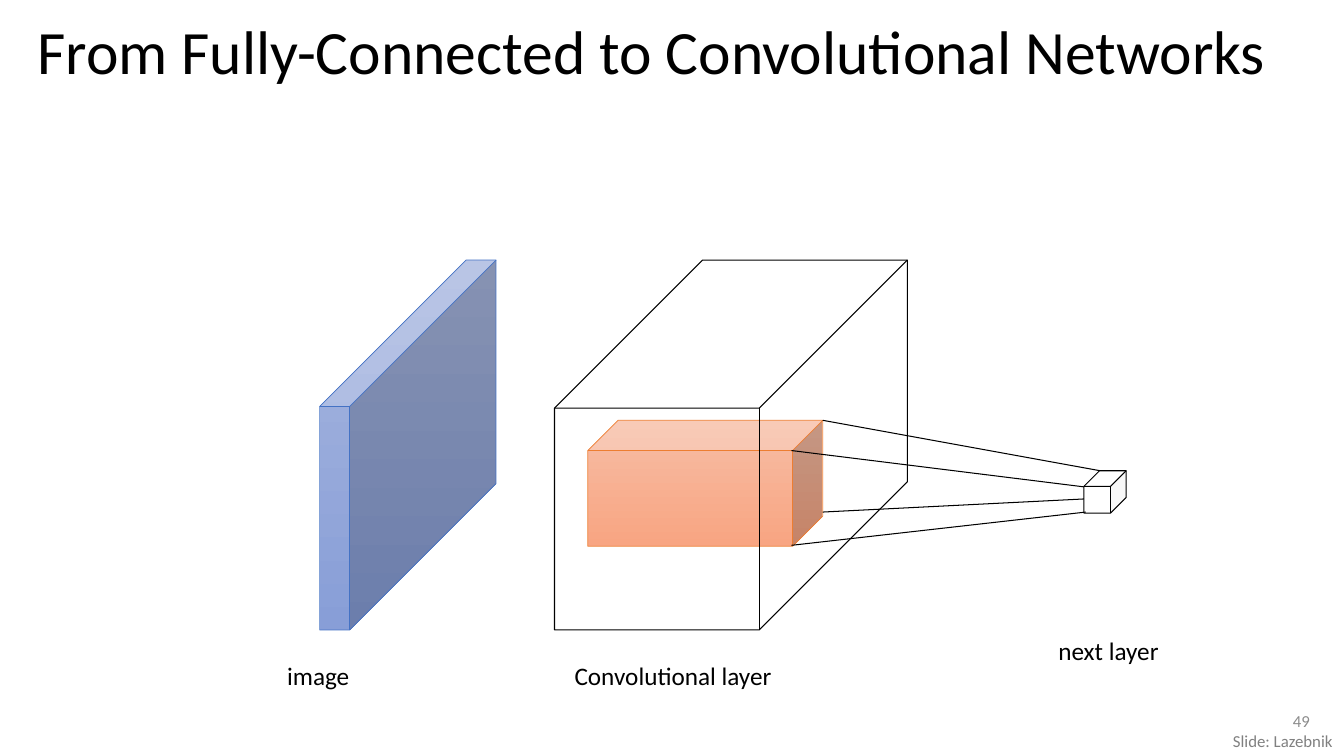
import pptx
import pptx.dml.color
import pptx.enum.shapes
import pptx.enum.text
import pptx.oxml
import pptx.oxml.ns
import pptx.util
from pptx.util import Inches

RGBColor = pptx.dml.color.RGBColor
ALIGN = pptx.enum.text.PP_ALIGN
ANCHOR = pptx.enum.text.MSO_ANCHOR
AUTO_SIZE = pptx.enum.text.MSO_AUTO_SIZE

BLACK = RGBColor(0x00, 0x00, 0x00)
WHITE = RGBColor(0xFF, 0xFF, 0xFF)
GREY = RGBColor(0x80, 0x80, 0x80)
NUMBER_GREY = RGBColor(0x8C, 0x8C, 0x8C)
BLUE = RGBColor(0x44, 0x72, 0xC4)
BLUE_TOP = RGBColor(0xA8, 0xB7, 0xDF)
BLUE_BOTTOM = RGBColor(0x88, 0x9E, 0xD7)
ORANGE = RGBColor(0xED, 0x7D, 0x31)
ORANGE_TOP = RGBColor(0xF7, 0xBD, 0xA5)
ORANGE_BOTTOM = RGBColor(0xF8, 0xA5, 0x82)


def write_text(tf, text, size=18, color=BLACK, align=ALIGN.LEFT, spacing=1.0):
    p = tf.paragraphs[0]
    p.alignment = align
    p.line_spacing = spacing
    r = p.add_run()
    r.text = text
    r.font.name = "Calibri"
    r.font.size = pptx.util.Pt(size)
    r.font.color.rgb = color


class SlideBuilder:
    def __init__(self, slide):
        self.slide = slide

    def title(self, box, text):
        sp = self.slide.shapes.title
        sp.left, sp.top, sp.width, sp.height = map(Inches, box)
        tf = sp.text_frame
        tf.auto_size = AUTO_SIZE.NONE
        tf.vertical_anchor = ANCHOR.MIDDLE
        write_text(tf, text, size=44, spacing=0.9)

    def label(self, box, text, wrap=False, grow=True, anchor=ANCHOR.TOP, **style):
        tf = self.slide.shapes.add_textbox(*map(Inches, box)).text_frame
        tf.word_wrap = wrap
        tf.auto_size = AUTO_SIZE.SHAPE_TO_FIT_TEXT if grow else AUTO_SIZE.NONE
        tf.vertical_anchor = anchor
        write_text(tf, text, **style)

    def cube(self, box, depth, line=BLACK, weight=0.75, gradient=None, fill=None, opacity=100):
        sp = self.slide.shapes.add_shape(
            pptx.enum.shapes.MSO_SHAPE.CUBE, *map(Inches, box))
        sp.shadow.inherit = False
        sp.adjustments[0] = depth
        sp.line.color.rgb = line
        sp.line.width = pptx.util.Pt(weight)
        if gradient:
            sp.fill.gradient()
            sp.fill.gradient_angle = 270
            for stop, color in zip(sp.fill.gradient_stops, gradient):
                stop.color.rgb = color
        elif fill is not None:
            sp.fill.solid()
            sp.fill.fore_color.rgb = fill
            clr = sp._element.spPr.find(
                pptx.oxml.ns.qn("a:solidFill")).find(pptx.oxml.ns.qn("a:srgbClr"))
            alpha = pptx.oxml.parse_xml(
                f'<a:alpha {pptx.oxml.ns.nsdecls("a")} val="{opacity * 1000}"/>')
            clr.append(alpha)
        else:
            sp.fill.background()

    def line(self, start, end):
        cxn = self.slide.shapes.add_connector(
            pptx.enum.shapes.MSO_CONNECTOR.STRAIGHT, *map(Inches, start + end))
        cxn.line.color.rgb = BLACK
        cxn.line.width = pptx.util.Pt(0.75)
        cxn._element.spPr.append(
            pptx.oxml.parse_xml(f'<a:effectLst {pptx.oxml.ns.nsdecls("a")}/>'))


def main():
    prs = pptx.Presentation()
    prs.slide_width = Inches(13.33)
    prs.slide_height = Inches(7.5)
    s = SlideBuilder(prs.slides.add_slide(prs.slide_layouts[5]))

    s.title((0.27, 0.15, 12.82, 0.78), "From Fully-Connected to Convolutional Networks")

    s.cube((3.17, 2.58, 1.75, 3.67), 0.83, BLUE, 0.5, (BLUE_TOP, BLUE_BOTTOM))
    s.cube((5.83, 4.17, 2.33, 1.25), 0.24, ORANGE, 0.5, (ORANGE_TOP, ORANGE_BOTTOM))
    s.cube((5.5, 2.58, 3.5, 3.67), 0.42)

    for start, end in (
        ((8.16, 4.17), (10.91, 4.67)),
        ((7.85, 4.47), (10.75, 4.83)),
        ((7.85, 5.41), (10.77, 5.08)),
        ((8.16, 5.08), (10.75, 4.95)),
    ):
        s.line(start, end)
    s.cube((10.75, 4.67, 0.42, 0.42), 0.37, fill=WHITE, opacity=13)

    s.label((2.75, 6.5, 0.83, 0.4), "image")
    s.label((5.6, 6.5, 2.18, 0.4), "Convolutional layer")
    s.label((10.33, 6.25, 1.33, 0.4), "next layer", wrap=True, align=ALIGN.CENTER)
    s.label((12.13, 7.2, 1.2, 0.3), "Slide: Lazebnik", size=12, color=GREY)
    s.label((12.53, 6.95, 0.56, 0.4), "49", wrap=True, grow=False,
            anchor=ANCHOR.MIDDLE, size=12, color=NUMBER_GREY, align=ALIGN.RIGHT)

    prs.save("out.pptx")


if __name__ == "__main__":
    main()
